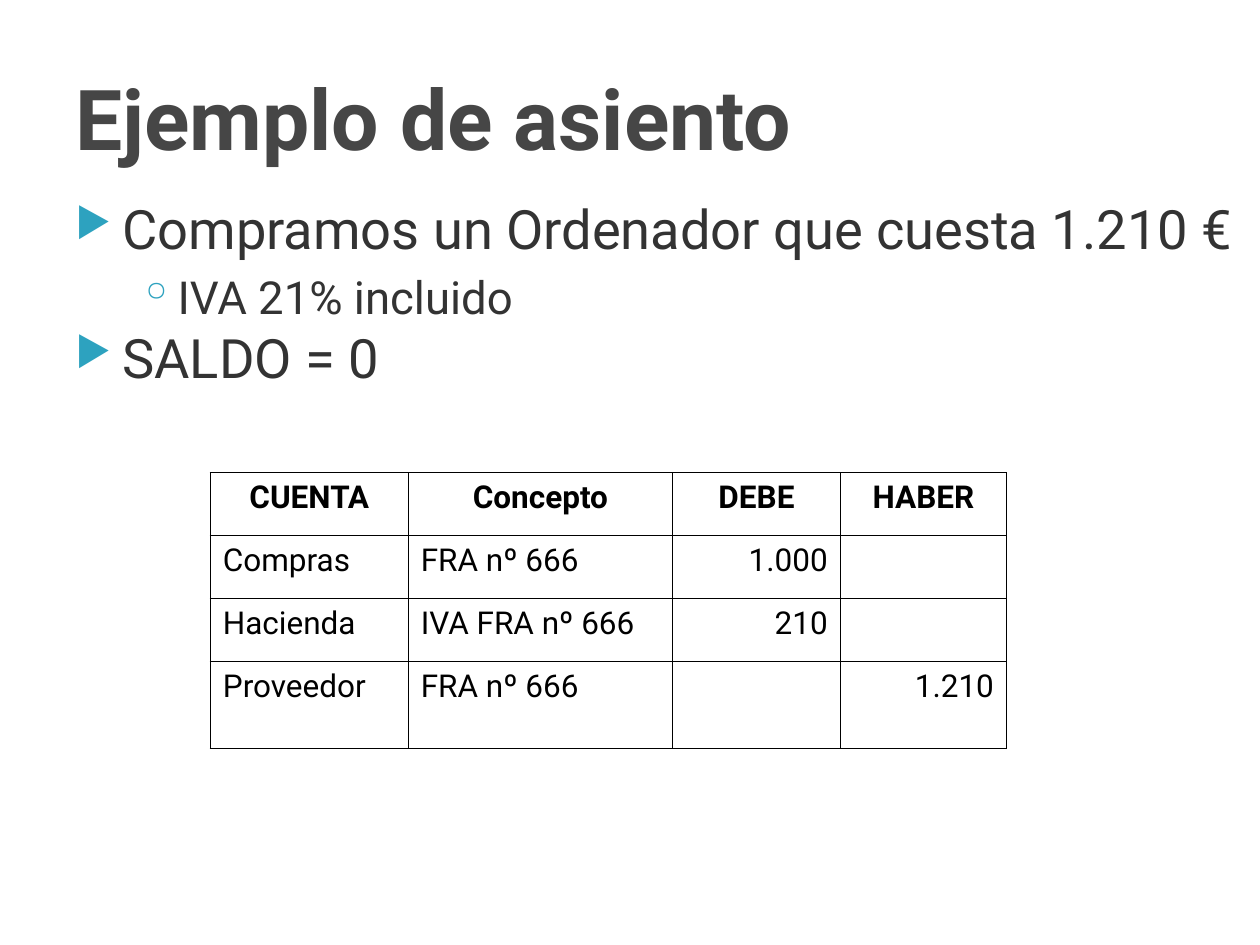
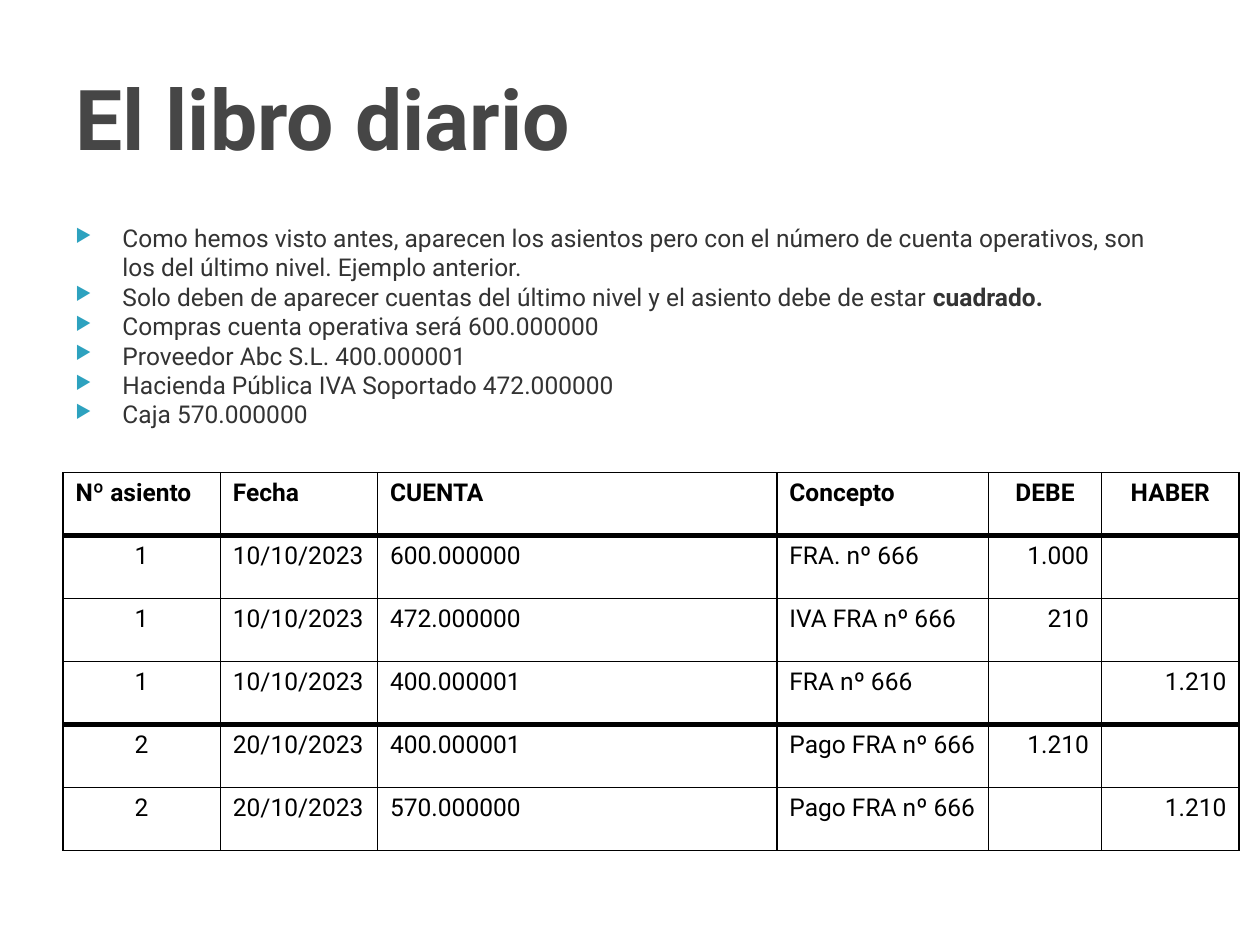
import lxml.etree
import pptx
import pptx.dml.color
import pptx.enum.text
import pptx.oxml.ns
import pptx.util

Cm = pptx.util.Cm
Pt = pptx.util.Pt
qn = pptx.oxml.ns.qn
sub = lxml.etree.SubElement
side = pptx.enum.text.PP_ALIGN
aligns = {"l": side.LEFT, "c": side.CENTER, "r": side.RIGHT}

GREY, DARK, TEAL, BLACK, WHITE = "464646", "333333", "2DA2BF", "000000", "FFFFFF"
HEAD = {"name": "Roboto", "size": Pt(48), "bold": True}
FRAME = {"word_wrap": True, "auto_size": pptx.enum.text.MSO_AUTO_SIZE.NONE}


def ink(color, code):
    color.rgb = pptx.dml.color.RGBColor.from_string(code)


def put(para, text, form, code):
    run = para.add_run()
    run.text = text
    for key, value in form.items():
        setattr(run.font, key, value)
    ink(run.font.color, code)


pages = [
    {
        "title": "Ejemplo de asiento",
        "body": (3.81, 24.13, 5.28),
        "points": [
            (0, 31, ["Compramos un Ordenador que cuesta 1.210 €"]),
            (1, 26, ["IVA 21% incluido"]),
            (0, 31, ["SALDO = 0"]),
        ],
        "left": 4.24,
        "cols": [3.99, 5.33, 3.38, 3.35],
        "rows": [1.27, 1.27, 1.27, 1.75],
        "size": 18,
        "top": "cccc",
        "rest": "llrr",
        "thick": [],
        "cells": [
            ["CUENTA", "Concepto", "DEBE", "HABER"],
            ["Compras", "FRA nº 666", "1.000", ""],
            ["Hacienda", "IVA FRA nº 666", "210", ""],
            ["Proveedor", "FRA nº 666", "", "1.210"],
        ],
    },
    {
        "title": "El libro diario",
        "body": (4.37, 22.86, 5.16),
        "points": [
            (0, 14, ["Como hemos visto antes, aparecen los asientos pero con el número de cuenta "
                     "operativos, son los del último nivel. Ejemplo anterior."]),
            (0, 14, ["Solo deben de aparecer cuentas del último nivel y el asiento debe de estar ",
                     "cuadrado."]),
            (0, 14, ["Compras cuenta operativa será 600.000000"]),
            (0, 14, ["Proveedor Abc S.L. 400.000001"]),
            (0, 14, ["Hacienda Pública IVA Soportado 472.000000"]),
            (0, 14, ["Caja 570.000000"]),
        ],
        "left": 1.27,
        "cols": [3.17, 3.17, 8.05, 4.27, 2.28, 2.77],
        "rows": [1.27] * 6,
        "size": 14,
        "top": "llllcc",
        "rest": "clllrr",
        "thick": [1, 4],
        "cells": [
            ["Nº asiento", "Fecha", "CUENTA", "Concepto", "DEBE", "HABER"],
            ["1", "10/10/2023", "600.000000", "FRA. nº 666", "1.000", ""],
            ["1", "10/10/2023", "472.000000", "IVA FRA nº 666", "210", ""],
            ["1", "10/10/2023", "400.000001", "FRA nº 666", "", "1.210"],
            ["2", "20/10/2023", "400.000001", "Pago FRA nº 666", "1.210", ""],
            ["2", "20/10/2023", "570.000000", "Pago FRA nº 666", "", "1.210"],
        ],
    },
]
marks = [
    {"left": 0.95, "hang": 0.95, "space": 0, "char": "▶", "scale": 75},
    {"left": 2.06, "hang": 0.79, "space": 5.2, "char": "◦", "scale": 100},
]

deck = pptx.Presentation()
deck.slide_width, deck.slide_height = Cm(25.4), Cm(19.05)

for page in pages:
    slide = deck.slides.add_slide(deck.slide_layouts[6])

    title = slide.shapes.add_textbox(Cm(1.27), Cm(0.76), Cm(22.86), Cm(3.18)).text_frame
    top, width, height = page["body"]
    body = slide.shapes.add_textbox(Cm(1.27), Cm(top), Cm(width), Cm(height)).text_frame
    for frame in (title, body):
        for key, value in FRAME.items():
            setattr(frame, key, value)
    title.vertical_anchor = pptx.enum.text.MSO_ANCHOR.MIDDLE
    put(title.paragraphs[0], page["title"], HEAD, GREY)

    for index, (level, size, parts) in enumerate(page["points"]):
        para = body.add_paragraph() if index else body.paragraphs[0]
        mark = marks[level]
        for key, value in {"level": level, "space_before": Pt(mark["space"])}.items():
            setattr(para, key, value)
        props = para._p.get_or_add_pPr()
        props.set("marL", str(Cm(mark["left"])))
        props.set("indent", str(-Cm(mark["hang"])))
        sub(sub(props, qn("a:buClr")), qn("a:srgbClr"), val=TEAL)
        sub(props, qn("a:buSzPct"), val=str(mark["scale"] * 1000))
        sub(props, qn("a:buChar"), char=mark["char"])
        for order, part in enumerate(parts):
            form = {"name": "Roboto", "size": Pt(size), "bold": order > 0}
            put(para, part, form, DARK)

    cols, rows = page["cols"], page["rows"]
    table = slide.shapes.add_table(
        len(rows), len(cols), Cm(page["left"]), Cm(9.53), Cm(sum(cols)), Cm(sum(rows))
    ).table
    for key, value in {"first_row": False, "horz_banding": False}.items():
        setattr(table, key, value)
    for col, width in zip(table.columns, cols):
        col.width = Cm(width)
    for row, height in zip(table.rows, rows):
        row.height = Cm(height)

    for r, line in enumerate(page["cells"]):
        form = {"name": "Roboto", "size": Pt(page["size"]), "bold": r == 0}
        for c, text in enumerate(line):
            cell = table.cell(r, c)
            props = cell._tc.get_or_add_tcPr()
            edges = {"L": 1, "R": 1,
                     "T": 3 if r in page["thick"] else 1,
                     "B": 3 if r + 1 in page["thick"] else 1}
            for edge, weight in edges.items():
                rule = sub(props, qn("a:ln" + edge), w=str(Pt(weight)))
                sub(sub(rule, qn("a:solidFill")), qn("a:srgbClr"), val=BLACK)
            cell.fill.solid()
            ink(cell.fill.fore_color, WHITE)
            if text:
                para = cell.text_frame.paragraphs[0]
                para.alignment = aligns[page["rest" if r else "top"][c]]
                put(para, text, form, BLACK)

deck.save("out.pptx")
